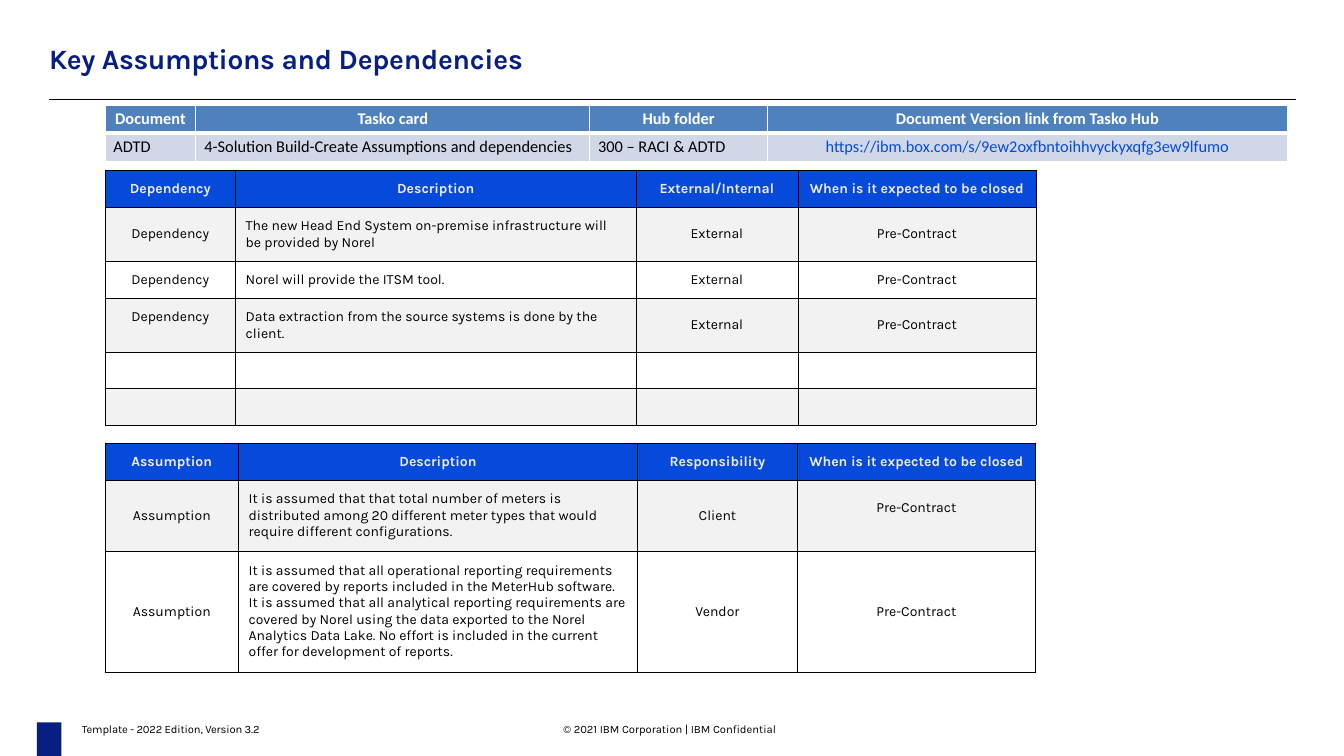
from pptx import Presentation
from pptx.dml.color import RGBColor
from pptx.enum.shapes import MSO_CONNECTOR as CONNECTOR, MSO_SHAPE as SHAPE
from pptx.enum.text import MSO_ANCHOR as ANCHOR, PP_ALIGN as ALIGN
from pptx.oxml.ns import qn
from pptx.util import Pt
from lxml.etree import SubElement

WHITE = RGBColor(0xFF, 0xFF, 0xFF)
BLACK = RGBColor(0, 0, 0)
NAVY = RGBColor(0x06, 0x1F, 0x80)
BLUE = RGBColor(0x05, 0x4A, 0xDA)
CREAM = RGBColor(0xEE, 0xEC, 0xE1)
GREY = RGBColor(0xF2, 0xF2, 0xF2)
STEEL = RGBColor(0x4F, 0x81, 0xBD)
PALE = RGBColor(0xD0, 0xD8, 0xE8)

PAD = 8.64        # cell padding of the two large tables
RAISED = 22.7     # bottom padding that lifts a text by half a line
LEFT = 90         # common left edge of the tables


class Slide:
    font = "Karla"

    def __init__(self, prs):
        self.s = prs.slides.add_slide(prs.slide_layouts[6])

    def format(self, font, **values):
        for name, value in ({"name": self.font} | values).items():
            if name == "color":
                font.color.rgb = value
            else:
                setattr(font, name, value)

    def text(self, x, y, w, h, runs, **values):
        """Add a text box; runs are pairs of text and letter spacing in points."""
        tf = self.s.shapes.add_textbox(Pt(x), Pt(y), Pt(w), Pt(h)).text_frame
        tf.word_wrap = True
        tf.margin_left = tf.margin_right = tf.margin_top = tf.margin_bottom = 0
        p = tf.paragraphs[0]
        for text, spacing in runs:
            r = p.add_run()
            r.text = text
            self.format(r.font, **values)
            r.font._element.set("spc", str(round(spacing * 100)))

    def bar(self, x, y, w, h, color):
        sp = self.s.shapes.add_shape(SHAPE.RECTANGLE, Pt(x), Pt(y), Pt(w), Pt(h))
        sp.shadow.inherit = False
        sp.fill.solid()
        sp.fill.fore_color.rgb = color
        sp.line.fill.background()

    def rule(self, x, y, w, color):
        line = self.s.shapes.add_connector(
            CONNECTOR.STRAIGHT, Pt(x), Pt(y), Pt(x + w), Pt(y))
        line.line.color.rgb = color
        line.line.width = Pt(1)
        SubElement(line._element.spPr, qn("a:effectLst"))

    def borders(self, cell, color, widths):
        """Draw the left, right, top and bottom borders, widths in points."""
        tcPr = cell._tc.get_or_add_tcPr()
        for side, width in zip("LRTB", widths):
            ln = SubElement(tcPr, qn(f"a:ln{side}"), w=str(Pt(width)))
            fill = SubElement(ln, qn("a:solidFill"))
            SubElement(fill, qn("a:srgbClr"), val=str(color))

    def table(self, y, cols, heights, rows):
        tbl = self.s.shapes.add_table(
            len(heights), len(cols), Pt(LEFT), Pt(y), Pt(sum(cols)), Pt(sum(heights))).table
        tbl.first_row = tbl.horz_banding = False
        for col, width in zip(tbl.columns, cols):
            col.width = Pt(width)
        for row, height in zip(tbl.rows, heights):
            row.height = Pt(height)
        for i, texts in enumerate(rows):
            for j, text in enumerate(texts):
                yield i, j, tbl.cell(i, j), text

    def cell(self, cell, text, fill, align, **values):
        cell.fill.solid()
        cell.fill.fore_color.rgb = fill
        cell.vertical_anchor = ANCHOR.MIDDLE
        if text:
            p = cell.text_frame.paragraphs[0]
            p.alignment = align
            r = p.add_run()
            r.text = text
            self.format(r.font, **values)

    def register(self, y, cols, heights, rows, raised):
        """Add a black-ruled table; raised is the (row, column) of the lifted text."""
        for i, j, cell, text in self.table(y, cols, heights, rows):
            head = i == 0
            self.borders(cell, BLACK, [0.5] * 4)
            if text:
                cell.margin_left = cell.margin_right = cell.margin_top = Pt(PAD)
                cell.margin_bottom = Pt(RAISED if (i, j) == raised else PAD)
            self.cell(cell, text, BLUE if head else GREY if i % 2 else WHITE,
                      ALIGN.LEFT if j == 1 and not head else ALIGN.CENTER,
                      size=Pt(12), bold=head, color=CREAM if head else BLACK)

    def documents(self, y, cols, heights, rows):
        for i, j, cell, text in self.table(y, cols, heights, rows):
            head, link = i == 0, i == 1 and j == 3
            self.borders(cell, WHITE, [1, 1, 1, 3] if head else [1, 1, 3, 1])
            self.cell(cell, text, STEEL if head else PALE,
                      ALIGN.CENTER if head or link else ALIGN.LEFT,
                      name="Calibri", size=Pt(14), bold=head,
                      color=WHITE if head else BLUE if link else BLACK)


DEPENDENCIES = [
    ["Dependency", "Description", "External/Internal", "When is it expected to be closed"],
    ["Dependency", "The new Head End System on-premise infrastructure will be provided by Norel",
     "External", "Pre-Contract"],
    ["Dependency", "Norel will provide the ITSM tool.", "External", "Pre-Contract"],
    ["Dependency", "Data extraction from the source systems is done by the client.",
     "External", "Pre-Contract"],
    [""] * 4,
    [""] * 4,
]
ASSUMPTIONS = [
    ["Assumption", "Description", "Responsibility", "When is it expected to be closed"],
    ["Assumption", "It is assumed that that total number of meters is distributed among 20 "
     "different meter types that would require different configurations.",
     "Client", "Pre-Contract"],
    ["Assumption", "It is assumed that all operational reporting requirements are covered by "
     "reports included in the MeterHub software. It is assumed that all analytical reporting "
     "requirements are covered by Norel using the data exported to the Norel Analytics Data "
     "Lake. No effort is included in the current offer for development of reports.",
     "Vendor", "Pre-Contract"],
]
DOCUMENTS = [
    ["Document", "Tasko card", "Hub folder", "Document Version link from Tasko Hub"],
    ["ADTD", "4-Solution Build-Create Assumptions and dependencies", "300 – RACI & ADTD",
     "https://ibm.box.com/s/9ew2oxfbntoihhvyckyxqfg3ew9lfumo"],
]


def main():
    prs = Presentation()
    prs.slide_width, prs.slide_height = Pt(1152), Pt(648)
    s = Slide(prs)
    s.bar(31.7, 619.2, 20.9, 28.8, NAVY)
    s.text(42, 36, 1067, 30,
           [("Key ", -0.4), ("Assumptions ", -0.3), ("and Dependencies", -0.2)],
           size=Pt(24), bold=True, color=NAVY)
    s.rule(42, 85.5, 1069, BLACK)
    s.register(146, [112, 343, 139, 204], [31.5, 46.3, 31, 46.3, 31, 31.5],
               DEPENDENCIES, (3, 0))
    s.register(380, [114.5, 342, 137, 204], [31.5, 60, 103.7], ASSUMPTIONS, (1, 3))
    s.documents(90, [78, 337.5, 152.5, 445.5], [24, 24], DOCUMENTS)
    for x, text, spacing in [(483, "© 2021 IBM Corporation | IBM Confidential", 0),
                             (70.3, "Template - 2022 Edition, Version 3.2", -0.1)]:
        s.text(x, 619, 188, 12, [(text, spacing)], size=Pt(9.6), color=BLACK)
    prs.save("out.pptx")


if __name__ == "__main__":
    main()
